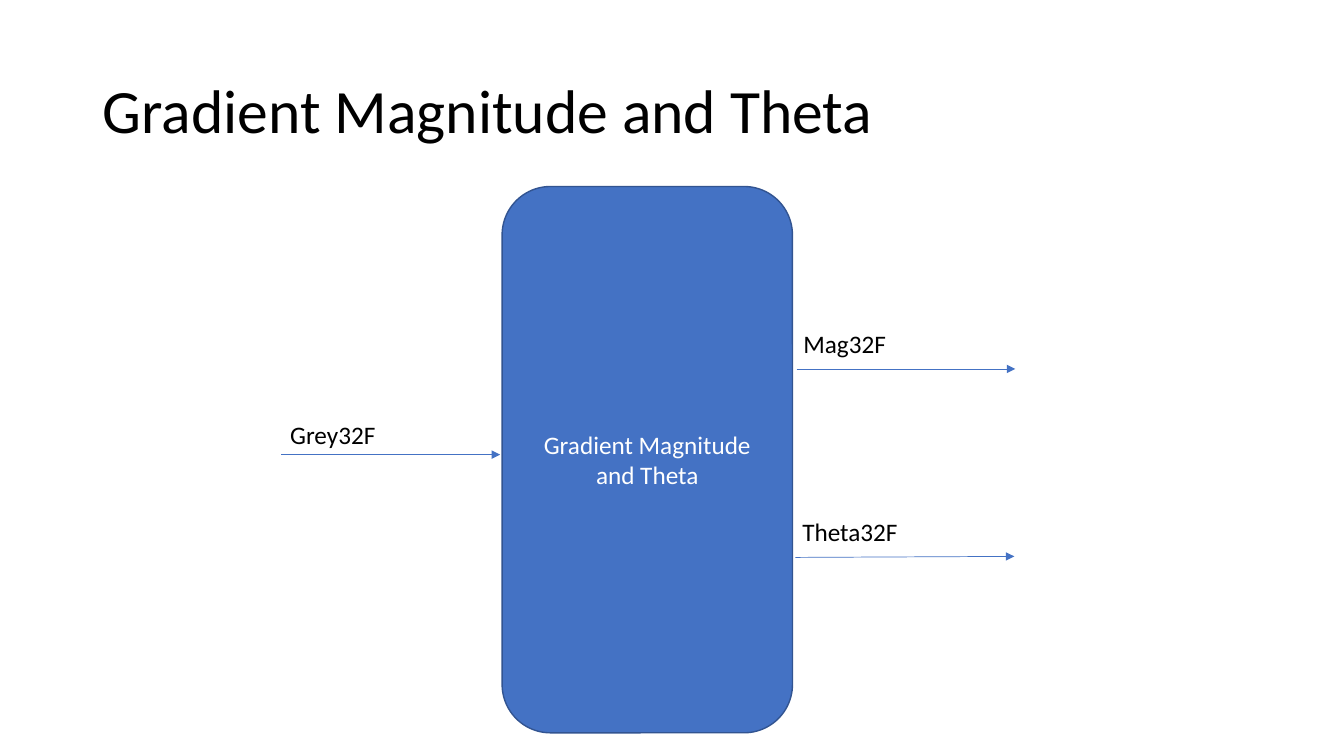
"""Build a block diagram slide of the gradient magnitude and theta stage."""
import lxml.etree
import pptx
import pptx.dml.color
import pptx.enum.shapes
import pptx.enum.text
import pptx.oxml.ns
import pptx.util

Inches = pptx.util.Inches
Anchor = pptx.enum.text.MSO_ANCHOR
Align = pptx.enum.text.PP_ALIGN


def color(value):
    return pptx.dml.color.RGBColor.from_string(value)


def write(frame, text, size=18, ink="000000", align=Align.LEFT,
          anchor=Anchor.TOP, spacing=None):
    frame.word_wrap = True
    frame.vertical_anchor = anchor
    paragraph = frame.paragraphs[0]
    paragraph.alignment = align
    if spacing:
        paragraph.line_spacing = spacing
    run = paragraph.add_run()
    run.text = text
    run.font.name = "Calibri"
    run.font.size = pptx.util.Pt(size)
    run.font.color.rgb = color(ink)


class Diagram:
    blue = "4472C4"
    border = "325491"

    def __init__(self, slide):
        self.slide = slide

    def label(self, text, left, top, width=3, height=0.4, **style):
        box = self.slide.shapes.add_textbox(
            Inches(left), Inches(top), Inches(width), Inches(height))
        write(box.text_frame, text, **style)

    def block(self, text, left, top, width, height):
        stage = self.slide.shapes.add_shape(
            pptx.enum.shapes.MSO_SHAPE.ROUNDED_RECTANGLE,
            Inches(left), Inches(top), Inches(width), Inches(height))
        stage.shadow.inherit = False
        stage.fill.solid()
        stage.fill.fore_color.rgb = color(self.blue)
        stage.line.color.rgb = color(self.border)
        stage.line.width = pptx.util.Pt(1)
        write(stage.text_frame, text, ink="FFFFFF", align=Align.CENTER,
              anchor=Anchor.MIDDLE)

    def arrow(self, left, start_y, end_y, length=2.17):
        signal = self.slide.shapes.add_connector(
            pptx.enum.shapes.MSO_CONNECTOR.STRAIGHT,
            Inches(left), Inches(start_y), Inches(left + length), Inches(end_y))
        signal.line.color.rgb = color(self.blue)
        signal.line.width = pptx.util.Pt(0.5)
        qn = pptx.oxml.ns.qn
        outline = signal.line._get_or_add_ln()
        lxml.etree.SubElement(outline, qn("a:tailEnd"), type="triangle")
        lxml.etree.SubElement(signal._element.spPr, qn("a:effectLst"))


def main():
    deck = pptx.Presentation()
    deck.slide_width = Inches(13.33)
    deck.slide_height = Inches(7.5)
    diagram = Diagram(deck.slides.add_slide(deck.slide_layouts[6]))

    stage_name = "Gradient Magnitude and Theta"
    diagram.label(stage_name, 0.92, 0.4, 11.5, 1.45, size=44,
                  anchor=Anchor.MIDDLE, spacing=0.9)
    diagram.block(stage_name, 4.98, 1.85, 2.88, 5.42)

    signals = [
        ("Grey32F", 2.78, 4.11, 2.79, 4.51, 4.51),
        ("Mag32F", 7.87, 3.21, 7.9, 3.66, 3.66),
        ("Theta32F", 7.86, 5.07, 7.89, 5.53, 5.52),
    ]
    for name, label_left, label_top, arrow_left, start_y, end_y in signals:
        diagram.arrow(arrow_left, start_y, end_y)
        diagram.label(name, label_left, label_top)

    deck.save("out.pptx")


if __name__ == "__main__":
    main()
